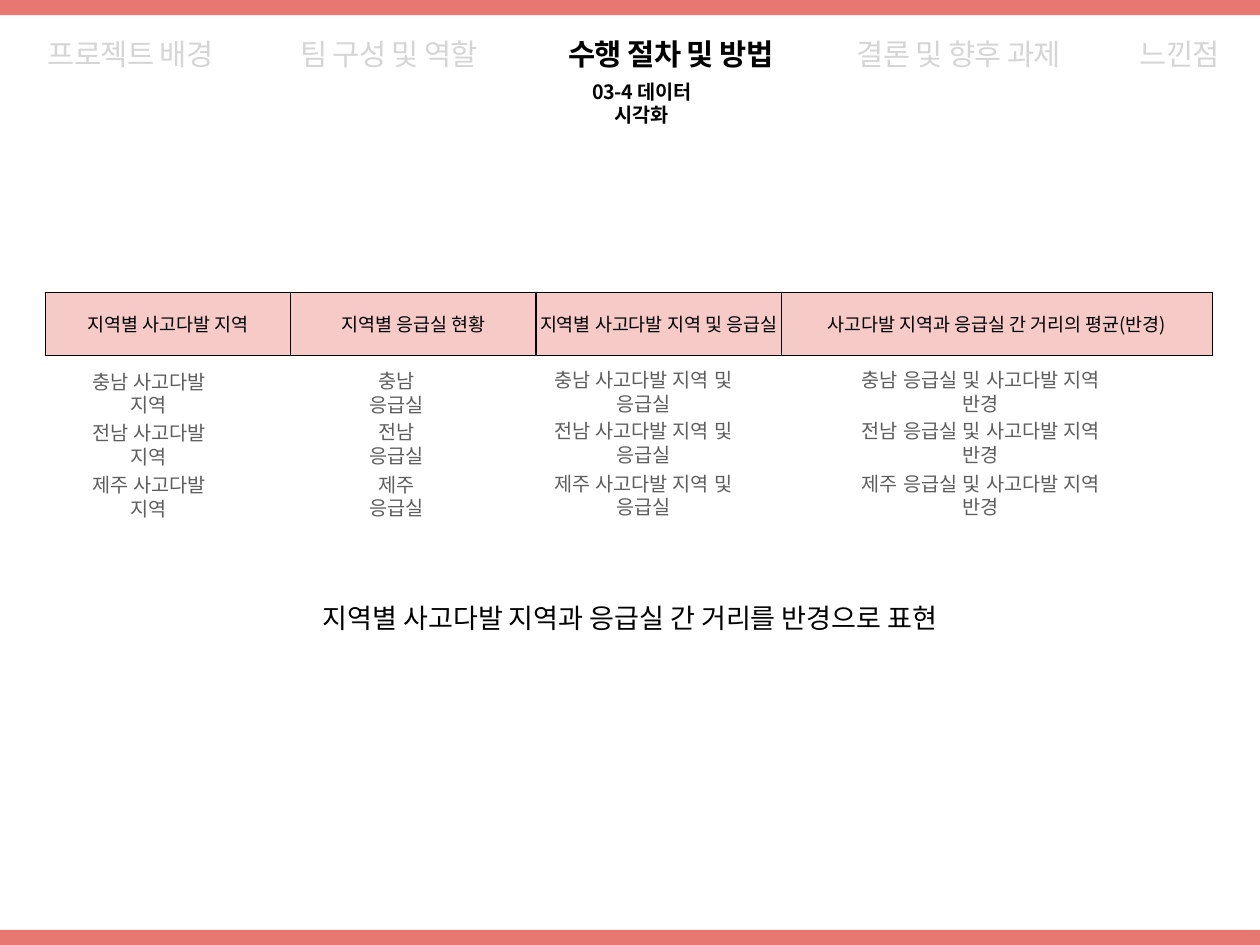
from dataclasses import dataclass

from lxml.etree import SubElement
from pptx import Presentation
from pptx.dml.color import RGBColor
from pptx.enum.shapes import MSO_SHAPE as Shape
from pptx.enum.text import MSO_ANCHOR as Anchor, MSO_AUTO_SIZE as AutoSize, PP_ALIGN as Align
from pptx.oxml.ns import qn
from pptx.slide import Slide
from pptx.util import Emu, Pt

EMU_PER_PX = 9144
WIDTH, HEIGHT = 1422, 1067
CORAL, BLACK, PALE, GRAY = "E77771", "000000", "D5D5D5", "5E5E5E"
KOREAN = "Noto Sans CJK KR"


@dataclass(frozen=True)
class TextStyle:
    size: int
    color: str
    name: str = KOREAN
    bold: bool = False
    tracking: int = 0
    line_spacing: float = 1.0


@dataclass(frozen=True)
class Label:
    text: str
    left: int
    top: int
    width: int
    height: int
    style: TextStyle
    left_inset: int = 6
    right_inset: int = 6


@dataclass(frozen=True)
class Column:
    header: str
    width: int
    label_pattern: str
    label_left: int
    label_top: int
    label_width: int
    right_inset: int


NAVIGATION = TextStyle(24, PALE, tracking=-50, line_spacing=0.9)
CURRENT = TextStyle(24, BLACK, bold=True, tracking=-50, line_spacing=0.9)
SUBTITLE = TextStyle(16, BLACK, bold=True, tracking=-20)
HEADER = TextStyle(15, BLACK)
REGION = TextStyle(16, GRAY, name="Arial")
SUMMARY = TextStyle(22, BLACK)

TITLE = Label("수행 절차 및 방법", 595, 39, 324, 48, CURRENT)
LABELS = [
    Label("프로젝트 배경", 11, 39, 273, 48, NAVIGATION),
    Label("팀 구성 및 역할", 277, 39, 324, 48, NAVIGATION),
    Label("결론 및 향후 과제", 920, 39, 324, 48, NAVIGATION),
    Label("느낀점", 1226, 39, 211, 48, NAVIGATION),
    Label("03-4 데이터 시각화", 661, 99, 192, 35, SUBTITLE, 0, 66),
    Label("지역별 사고다발 지역과 응급실 간 거리를 반경으로 표현", 358, 674, 706, 46, SUMMARY, 0, 0),
]
REGIONS = ["충남", "전남", "제주"]
COLUMNS = [
    Column("지역별 사고다발 지역", 277, "{} 사고다발 지역", 99, 425, 179, 41),
    Column("지역별 응급실 현황", 277, "{} 응급실", 412, 424, 115, 45),
    Column("지역별 사고다발 지역 및 응급실", 277, "{} 사고다발 지역 및 응급실", 622, 423, 268, 60),
    Column("사고다발 지역과 응급실 간 거리의 평균(반경)", 486, "{} 응급실 및 사고다발 지역 반경", 970, 423, 313, 39),
]


def px(length: int) -> Emu:
    return Emu(length * EMU_PER_PX)


def rgb(color: str) -> RGBColor:
    return RGBColor.from_string(color)


def set_attributes(target, values: dict) -> None:
    for name, value in values.items():
        setattr(target, name, value)


def write_text(frame, text: str, style: TextStyle) -> None:
    paragraph = frame.paragraphs[0]
    set_attributes(paragraph, {"alignment": Align.CENTER, "line_spacing": style.line_spacing,
                               "space_before": Pt(0)})
    run = paragraph.add_run()
    run.text = text
    set_attributes(run.font, {"size": Pt(style.size), "bold": style.bold, "name": style.name})
    run.font.color.rgb = rgb(style.color)
    properties = run.font._element
    properties.set("spc", str(style.tracking))
    SubElement(properties, qn("a:ea"), typeface=style.name)


def fill_label(shape, label: Label) -> None:
    set_attributes(shape, {"left": px(label.left), "top": px(label.top),
                           "width": px(label.width), "height": px(label.height)})
    set_attributes(shape.text_frame, {
        "word_wrap": True, "auto_size": AutoSize.NONE, "vertical_anchor": Anchor.MIDDLE,
        "margin_left": px(label.left_inset), "margin_right": px(label.right_inset),
        "margin_top": px(6), "margin_bottom": px(6)})
    write_text(shape.text_frame, label.text, label.style)


def add_label(slide: Slide, label: Label) -> None:
    fill_label(slide.shapes.add_textbox(0, 0, 0, 0), label)


def add_band(slide: Slide, top: int) -> None:
    band = slide.shapes.add_shape(Shape.RECTANGLE, px(-1), px(top), px(WIDTH + 2), px(18))
    band.shadow.inherit = False
    band.fill.solid()
    band.fill.fore_color.rgb = rgb(CORAL)
    band.line.fill.background()


def format_cell(cell) -> None:
    """Give the cell black borders and a translucent coral fill."""
    properties = cell._tc.get_or_add_tcPr()
    for side in ("lnL", "lnR", "lnT", "lnB"):
        border = SubElement(properties, qn(f"a:{side}"), w=str(Pt(1)))
        SubElement(SubElement(border, qn("a:solidFill")), qn("a:srgbClr"), val=BLACK)
    cell.fill.solid()
    cell.fill.fore_color.rgb = rgb(CORAL)
    color = properties.find(qn("a:solidFill")).find(qn("a:srgbClr"))
    SubElement(color, qn("a:alpha"), val="39000")


def add_header_table(slide: Slide) -> None:
    total = sum(column.width for column in COLUMNS)
    table = slide.shapes.add_table(1, len(COLUMNS), px(51), px(330), px(total), px(71)).table
    set_attributes(table, {"first_row": False, "horz_banding": False})
    for index, column in enumerate(COLUMNS):
        table.columns[index].width = px(column.width)
        cell = table.cell(0, index)
        set_attributes(cell, {"margin_left": 0, "margin_right": 0, "margin_top": 0,
                              "margin_bottom": 0, "vertical_anchor": Anchor.MIDDLE})
        write_text(cell.text_frame, column.header, HEADER)
        format_cell(cell)


def add_region_labels(slide: Slide) -> None:
    for column in COLUMNS:
        for row, region in enumerate(REGIONS):
            add_label(slide, Label(column.label_pattern.format(region), column.label_left,
                                   column.label_top + row * 117 // 2, column.label_width, 38,
                                   REGION, 0, column.right_inset))


def main() -> None:
    presentation = Presentation()
    set_attributes(presentation, {"slide_width": px(WIDTH), "slide_height": px(HEIGHT)})
    slide = presentation.slides.add_slide(presentation.slide_layouts[5])
    for top in (-1, 1050):
        add_band(slide, top)
    fill_label(slide.shapes.title, TITLE)
    for label in LABELS:
        add_label(slide, label)
    add_region_labels(slide)
    add_header_table(slide)
    presentation.save("out.pptx")


if __name__ == "__main__":
    main()
